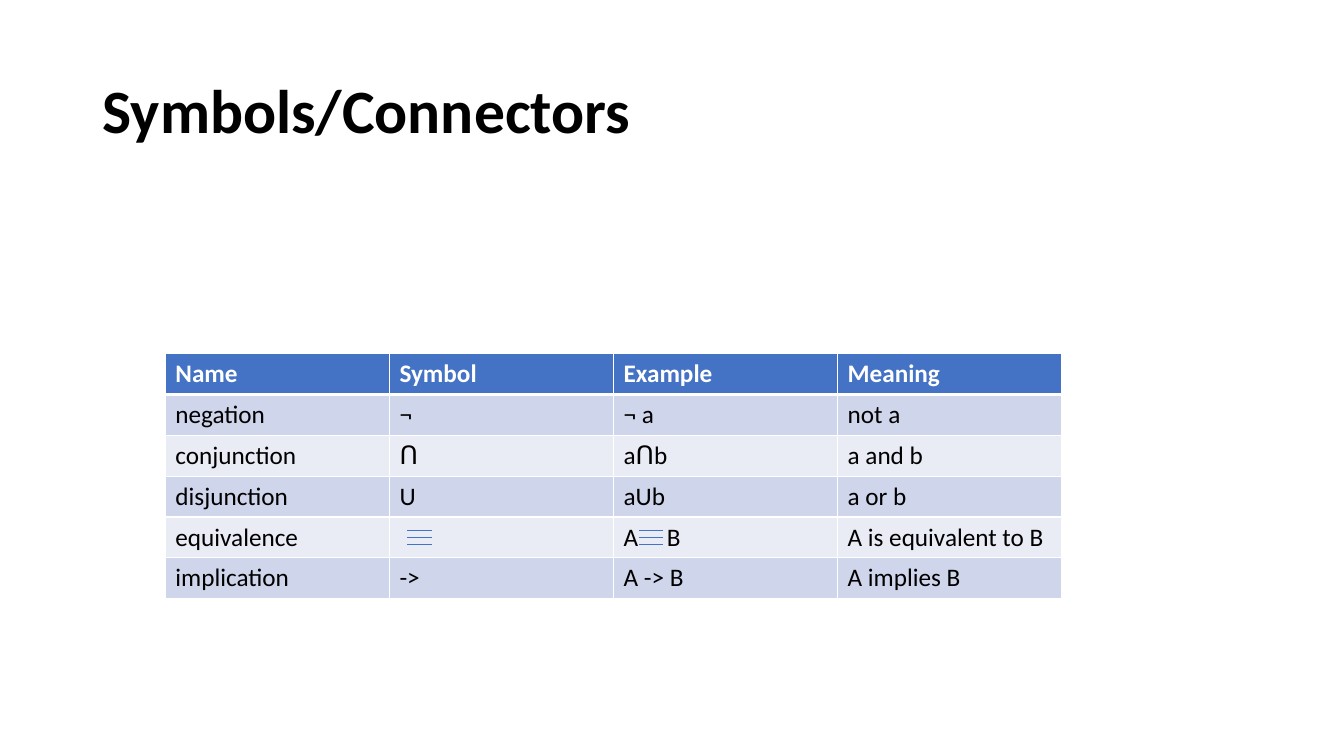
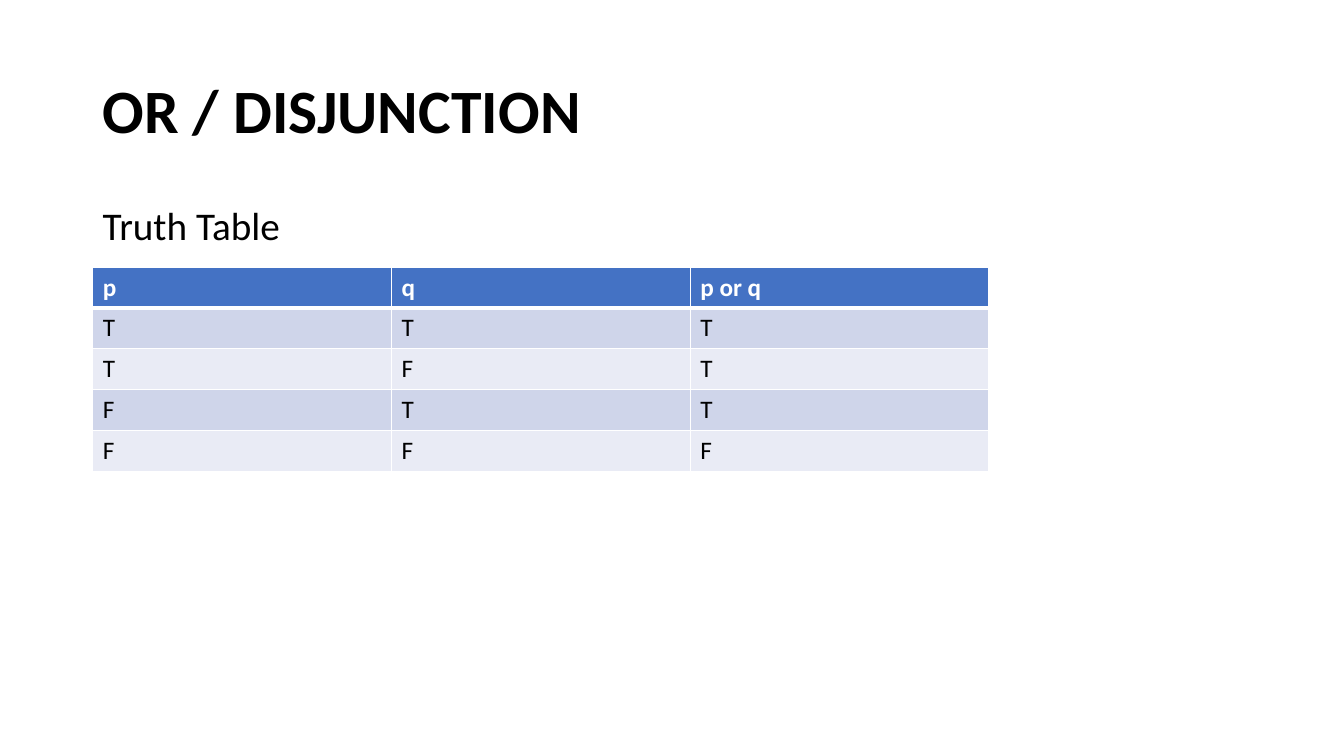
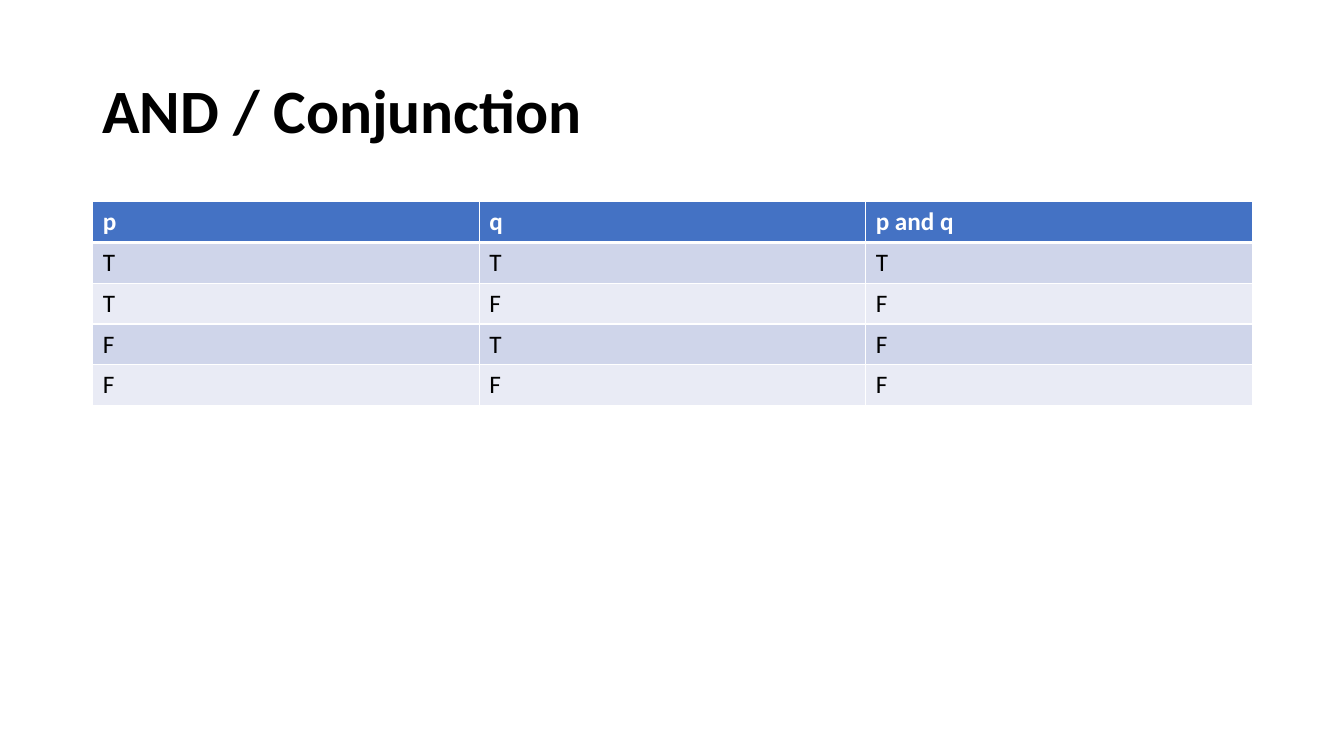
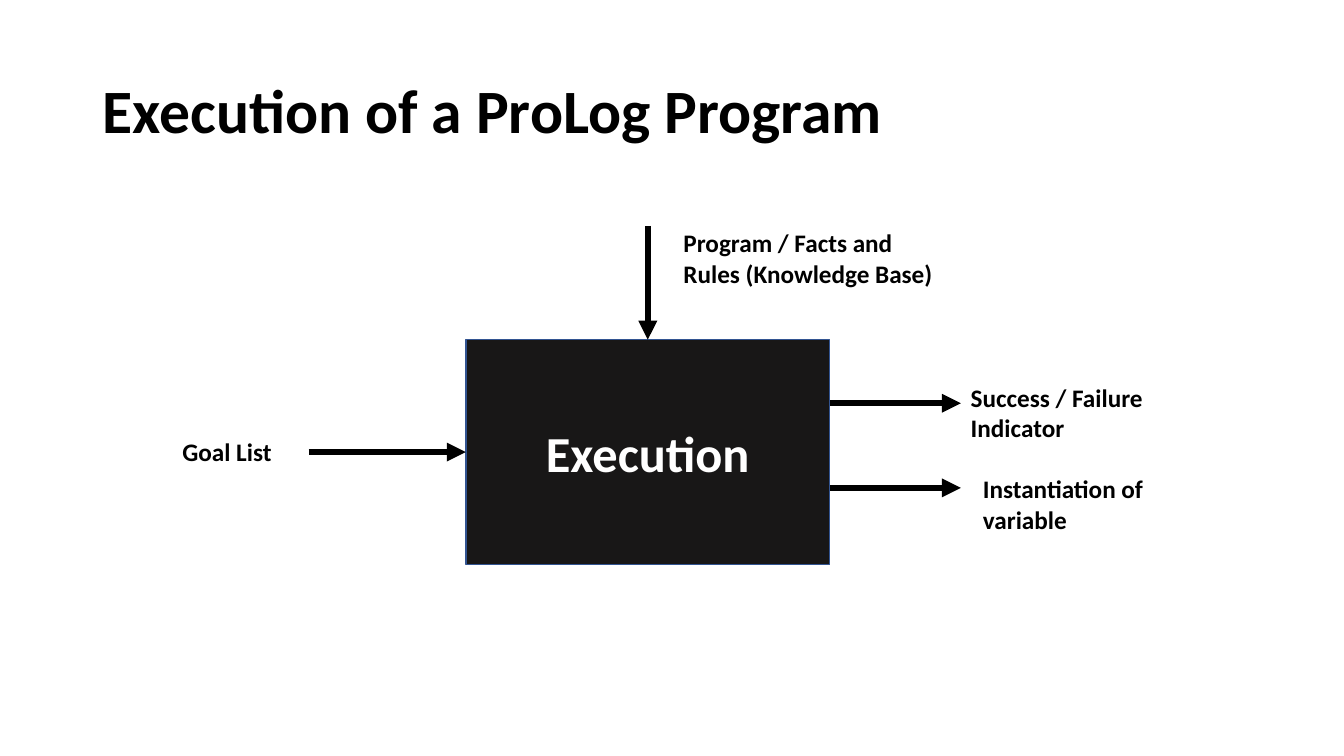
from lxml import etree
from pptx import Presentation
from pptx import util as u
from pptx.dml.color import RGBColor
from pptx.enum import shapes, text
from pptx.oxml.ns import qn

FONT = "Calibri"
COLOURS = {
    "black": "000000", "white": "FFFFFF", "header": "4472C4",
    "odd_row": "CFD5EA", "even_row": "E9EBF5",
    "engine": "181717", "engine_edge": "325491",
}
TITLE_BOX = (0.92, 0.4, 11.5, 1.45)
ROW_HEIGHT = 2.43 / 6

CONNECTIVES = [
    ("Name", "Symbol", "Example", "Meaning"),
    ("negation", "¬", "¬ a", "not a"),
    ("conjunction", "Ո", "aՈb", "a and b"),
    ("disjunction", "U", "aUb", "a or b"),
    ("equivalence", "", "A\tB", "A is equivalent to B"),
    ("implication", "->", "A -> B", "A implies B"),
]
EQUIVALENCE_LEFTS = (4.04, 6.34)
EQUIVALENCE_BARS = (5.26, 5.33, 5.4)
EQUIVALENCE_WIDTH = 0.24
EXAMPLE_TAB = 0.43

OR_TABLE = [("p", "q", "p or q"), "TTT", "TFT", "FTT", "FFF"]
AND_TABLE = [("p", "q", "p and q"), "TTT", "TFF", "FTF", "FFF"]

ENGINE_BOX = (4.62, 3.37, 3.61, 2.23)
# start, end, connection site of the engine at the end
ARROWS = [
    ((6.42, 2.24), (6.42, 3.37), 0),
    ((3.06, 4.48), (4.62, 4.48), 1),
    ((8.23, 4.84), (9.53, 4.84), None),
    ((8.23, 4), (9.53, 4), None),
]
LABELS = [
    ("Program / Facts and Rules (Knowledge Base)", (6.68, 2.21, 2.75, 0.71)),
    ("Goal List", (1.71, 4.28, 1.35, 0.4)),
    ("Success / Failure Indicator", (9.53, 3.74, 2, 0.71)),
    ("Instantiation of variable", (9.65, 4.65, 2, 0.71)),
]


def colour(name):
    return RGBColor.from_string(COLOURS[name])


def inches(values):
    return [u.Inches(value) for value in values]


def write(paragraph, words, size, colour_name="black", bold=False):
    run = paragraph.add_run()
    run.text = words
    run.font.name = FONT
    run.font.size = u.Pt(size)
    run.font.bold = bold
    run.font.color.rgb = colour(colour_name)


def add_text(slide, words, box, size, bold=False):
    frame = slide.shapes.add_textbox(*inches(box)).text_frame
    frame.word_wrap = True
    write(frame.paragraphs[0], words, size, bold=bold)
    return frame


def add_titled_slide(presentation, title):
    slide = presentation.slides.add_slide(presentation.slide_layouts[6])
    frame = add_text(slide, title, TITLE_BOX, 44, bold=True)
    frame.vertical_anchor = text.MSO_ANCHOR.MIDDLE
    frame.paragraphs[0].line_spacing = 0.9
    return slide


def add_borders(cell, widths):
    """Draw white borders; widths are points for left, right, top, bottom."""
    properties = cell._tc.get_or_add_tcPr()
    for side, width in zip("LRTB", widths):
        line = etree.SubElement(properties, qn(f"a:ln{side}"), w=str(u.Pt(width)))
        fill = etree.SubElement(line, qn("a:solidFill"))
        etree.SubElement(fill, qn("a:srgbClr"), val=COLOURS["white"])


def add_tab_stop(paragraph, position):
    tabs = etree.SubElement(paragraph._p.get_or_add_pPr(), qn("a:tabLst"))
    etree.SubElement(tabs, qn("a:tab"), pos=str(u.Inches(position)), algn="l")


def add_banded_table(slide, rows, left, top, width):
    box = (left, top, width, ROW_HEIGHT * len(rows))
    table = slide.shapes.add_table(len(rows), len(rows[0]), *inches(box)).table
    for row_index, row in enumerate(rows):
        is_header = row_index == 0
        band = "header" if is_header else ("even_row", "odd_row")[row_index % 2]
        for column_index, words in enumerate(row):
            cell = table.cell(row_index, column_index)
            add_borders(cell, (1, 1, 3 if row_index == 1 else 1, 3 if is_header else 1))
            cell.fill.solid()
            cell.fill.fore_color.rgb = colour(band)
            paragraph = cell.text_frame.paragraphs[0]
            if "\t" in words:
                add_tab_stop(paragraph, EXAMPLE_TAB)
            if words:
                write(paragraph, words, 18, "white" if is_header else "black", is_header)


def add_line(slide, start, end, colour_name, width):
    line = slide.shapes.add_connector(
        shapes.MSO_CONNECTOR.STRAIGHT, *inches(start + end))
    line.line.color.rgb = colour(colour_name)
    line.line.width = u.Pt(width)
    etree.SubElement(line._element.spPr, qn("a:effectLst"))
    return line


def add_arrow(slide, start, end):
    arrow = add_line(slide, start, end, "black", 4.5)
    etree.SubElement(arrow.line._get_or_add_ln(), qn("a:tailEnd"), type="triangle")
    return arrow


def build_symbols(presentation):
    slide = add_titled_slide(presentation, "Symbols/Connectors")
    add_banded_table(slide, CONNECTIVES, 1.64, 3.51, 8.89)
    for left in EQUIVALENCE_LEFTS:
        for y in EQUIVALENCE_BARS:
            add_line(slide, (left, y), (left + EQUIVALENCE_WIDTH, y), "header", 0.5)


def build_disjunction(presentation):
    slide = add_titled_slide(presentation, "OR / DISJUNCTION")
    frame = add_text(slide, "Truth Table", (0.92, 2, 11.5, 4.76), 28)
    frame.paragraphs[0].line_spacing = 0.9
    add_banded_table(slide, OR_TABLE, 0.92, 2.65, 8.89)


def build_conjunction(presentation):
    slide = add_titled_slide(presentation, "AND / Conjunction")
    add_banded_table(slide, AND_TABLE, 0.92, 2, 11.5)


def build_execution(presentation):
    slide = add_titled_slide(presentation, "Execution of a ProLog Program")
    engine = slide.shapes.add_shape(shapes.MSO_SHAPE.RECTANGLE, *inches(ENGINE_BOX))
    engine.shadow.inherit = False
    engine.fill.solid()
    engine.fill.fore_color.rgb = colour("engine")
    engine.line.color.rgb = colour("engine_edge")
    engine.line.width = u.Pt(1)
    engine.text_frame.vertical_anchor = text.MSO_ANCHOR.MIDDLE
    paragraph = engine.text_frame.paragraphs[0]
    paragraph.alignment = text.PP_ALIGN.CENTER
    write(paragraph, "Execution", 36, "white", bold=True)
    for start, end, site in ARROWS:
        arrow = add_arrow(slide, start, end)
        if site is not None:
            arrow.end_connect(engine, site)
            # keep the arrow straight along its axis
            if site == 0:
                arrow.begin_x = arrow.end_x
            else:
                arrow.begin_y = arrow.end_y
    for words, box in LABELS:
        frame = add_text(slide, words, box, 18, bold=True)
        frame.auto_size = text.MSO_AUTO_SIZE.SHAPE_TO_FIT_TEXT


def main():
    presentation = Presentation()
    presentation.slide_width = u.Inches(13.33)
    presentation.slide_height = u.Inches(7.5)
    build_symbols(presentation)
    build_disjunction(presentation)
    build_conjunction(presentation)
    build_execution(presentation)
    presentation.save("out.pptx")


if __name__ == "__main__":
    main()
